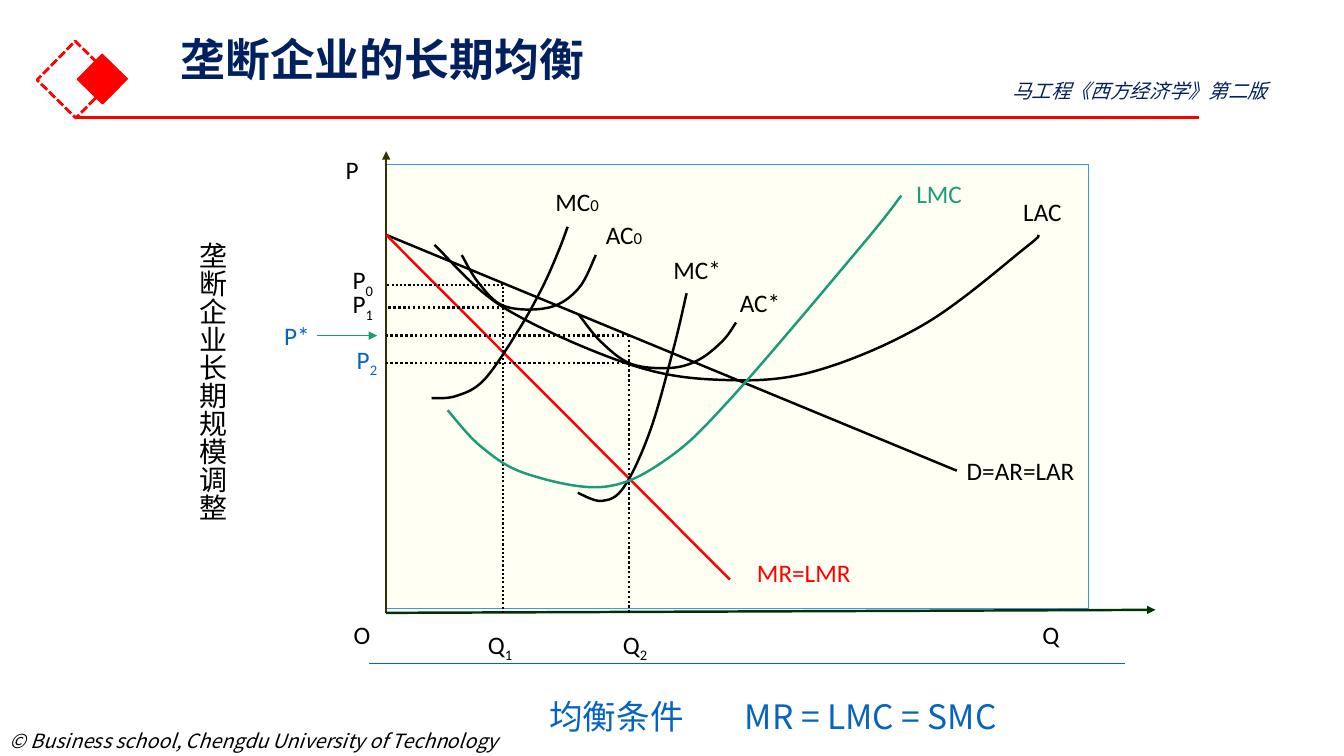
"""Build the slide on the long-run equilibrium of a monopoly firm."""
import lxml.etree
import pptx
import pptx.dml.color
import pptx.enum.dml
import pptx.enum.shapes
import pptx.enum.text
import pptx.oxml.ns
import pptx.util

Inches = pptx.util.Inches
Pt = pptx.util.Pt
RGBColor = pptx.dml.color.RGBColor
DASH = pptx.enum.dml.MSO_LINE
ANCHOR = pptx.enum.text.MSO_ANCHOR
RECTANGLE = pptx.enum.shapes.MSO_SHAPE.RECTANGLE
qn = pptx.oxml.ns.qn

BLACK = RGBColor(0x00, 0x00, 0x00)
RED = RGBColor(0xFF, 0x00, 0x00)
NAVY = RGBColor(0x00, 0x20, 0x60)
BLUE = RGBColor(0x05, 0x63, 0xC1)
GREEN = RGBColor(0x1D, 0x9A, 0x78)
IVORY = RGBColor(0xFF, 0xFF, 0xF3)
FRAME_BLUE = RGBColor(0x33, 0x99, 0xFF)
PRICE_AXIS = RGBColor(0x33, 0x33, 0x00)
QUANTITY_AXIS = RGBColor(0x00, 0x33, 0x00)
HAN_FONT = "Noto Sans CJK SC"

deck = pptx.Presentation()
deck.slide_width = Inches(13.33)
deck.slide_height = Inches(7.5)
page = deck.slides.add_slide(deck.slide_layouts[5])


def add_span(para, text, size, color, typeface="Calibri"):
    span = para.add_run()
    span.text = text
    span.font.size = Pt(size)
    span.font.color.rgb = color
    span.font.name = typeface
    east_asian = lxml.etree.SubElement(span.font._element, qn("a:ea"))
    east_asian.set("typeface", typeface)
    return span


def add_line(start, end, color, width, dash=None, arrow=False):
    line = page.shapes.add_connector(
        pptx.enum.shapes.MSO_CONNECTOR.STRAIGHT,
        *[Inches(value) for value in (*start, *end)])
    line.line.color.rgb = color
    line.line.width = Pt(width)
    if dash:
        line.line.dash_style = dash
    if arrow:
        tail = lxml.etree.SubElement(line.line._get_or_add_ln(), qn("a:tailEnd"))
        tail.set("type", "triangle")
    lxml.etree.SubElement(line._element.spPr, qn("a:effectLst"))


title = page.shapes.title
title.left, title.top = Inches(1.69), Inches(0.41)
title.width, title.height = Inches(11.5), Inches(0.95)
title.text_frame.auto_size = pptx.enum.text.MSO_AUTO_SIZE.NONE
title.text_frame.vertical_anchor = ANCHOR.MIDDLE
para = title.text_frame.paragraphs[0]
para.alignment = pptx.enum.text.PP_ALIGN.LEFT
para.line_spacing = 0.9
add_span(para, "垄断企业的长期均衡", 32, NAVY, HAN_FONT).font.bold = True
para.add_line_break()
lxml.etree.SubElement(para._p.find(qn("a:br")), qn("a:rPr"), sz="3200")
closing = lxml.etree.SubElement(para._p, qn("a:endParaRPr"), sz="3200")
lxml.etree.SubElement(closing, qn("a:latin"), typeface=HAN_FONT)

rectangles = [
    (3.83, 1.63, 6.97, 4.41, 0, IVORY, FRAME_BLUE, 0.75, False),
    (0.48, 0.52, 0.54, 0.54, 314.5, None, RED, 2, True),
    (0.84, 0.61, 0.35, 0.35, 314.5, RED, RED, 1, False),
]
for left, top, width, height, angle, fill, outline, weight, dashed in rectangles:
    shape = page.shapes.add_shape(
        RECTANGLE, Inches(left), Inches(top), Inches(width), Inches(height))
    shape.shadow.inherit = False
    shape.rotation = angle
    if fill is None:
        shape.fill.background()
    else:
        shape.fill.solid()
        shape.fill.fore_color.rgb = fill
    shape.line.color.rgb = outline
    shape.line.width = Pt(weight)
    if dashed:
        shape.line.dash_style = DASH.DASH
        shape.line._get_or_add_ln().find(qn("a:prstDash")).set("val", "sysDash")

ORIGIN_X, ORIGIN_Y = 3.83, 6.08
add_line((0.75, 1.17), (11.89, 1.17), RED, 2.25)
add_line((ORIGIN_X, ORIGIN_Y), (ORIGIN_X, 1.5), PRICE_AXIS, 1.75, arrow=True)
add_line((ORIGIN_X, ORIGIN_Y), (11.46, 6.05), QUANTITY_AXIS, 1.75, arrow=True)
add_line((ORIGIN_X, 2.33), (9.49, 4.67), BLACK, 1.75)
add_line((ORIGIN_X, 2.33), (7.24, 5.75), RED, 1.75)
add_line((3.66, 6.58), (11.16, 6.58), BLUE, 0.5)
add_line((3.14, 3.33), (3.74, 3.33), GREEN, 0.5, arrow=True)
for quantity, price, weight in [(4.99, 2.83, 1.5), (6.24, 3.33, 1.75)]:
    add_line((quantity, ORIGIN_Y), (quantity, price), BLACK, weight, DASH.ROUND_DOT)
    add_line((quantity, price), (ORIGIN_X, price), BLACK, weight, DASH.ROUND_DOT)
for quantity, price in [(4.95, 3.05), (6.24, 3.6)]:
    add_line((quantity, price), (ORIGIN_X, price), BLACK, 1.75, DASH.ROUND_DOT)

short_run_ac0 = [(4.58, 2.53), (4.75, 2.81), (5.01, 3.04), (5.45, 3.05),
                 (5.74, 2.86), (5.91, 2.53)]
short_run_mc0 = [(4.28, 3.95), (4.52, 3.93), (4.8, 3.77), (5.14, 3.28),
                 (5.38, 2.85), (5.54, 2.49), (5.63, 2.25)]
optimal_ac = [(5.74, 3.12), (5.96, 3.39), (6.26, 3.61), (6.65, 3.65),
              (6.93, 3.57), (7.17, 3.38), (7.3, 3.2)]
optimal_mc = [(5.73, 4.89), (5.97, 4.97), (6.19, 4.83), (6.45, 4.27),
              (6.68, 3.46), (6.81, 2.91)]
long_run_ac = [(4.31, 2.43), (5.01, 3.06), (6.26, 3.62), (7.19, 3.77),
               (8.09, 3.68), (9.18, 3.21), (10.18, 2.45), (10.3, 2.33)]
long_run_mc = [(4.44, 4.07), (4.77, 4.43), (5.22, 4.7), (5.99, 4.83),
               (6.62, 4.55), (7.27, 3.93), (8.56, 2.42), (8.94, 1.94)]
for knots, color in [(short_run_ac0, BLACK), (short_run_mc0, BLACK),
                     (optimal_ac, BLACK), (optimal_mc, BLACK),
                     (long_run_ac, BLACK), (long_run_mc, GREEN)]:
    padded = [knots[0], *knots, knots[-1]]
    points = []
    for before, start, end, after in zip(padded, padded[1:], padded[2:], padded[3:]):
        points.append([Inches(b + (c - a) / 6) for a, b, c in zip(before, start, end)])
        points.append([Inches(c - (d - b) / 6) for b, c, d in zip(start, end, after)])
        points.append([Inches(value) for value in end])
    builder = page.shapes.build_freeform(Inches(knots[0][0]), Inches(knots[0][1]))
    builder.add_line_segments(points, close=False)
    curve = builder.convert_to_shape()
    segments = list(curve._element.iter(qn("a:lnTo")))
    outline = segments[0].getparent()
    for first in range(0, len(segments), 3):
        bezier = lxml.etree.SubElement(outline, qn("a:cubicBezTo"))
        for segment in segments[first:first + 3]:
            bezier.append(segment[0])
            outline.remove(segment)
    curve.shadow.inherit = False
    curve.fill.background()
    curve.line.color.rgb = color
    curve.line.width = Pt(1.75)

labels = [
    (3.33, 1.5, 0.33, 0.42, "P", "", BLACK),
    (10.24, 6.08, 0.33, 0.42, "Q", "", BLACK),
    (3.41, 6.08, 0.33, 0.42, "O", "", BLACK),
    (5.91, 2.08, 0.75, 0.5, "AC", "small 0", BLACK),
    (5.41, 1.75, 0.75, 0.5, "MC", "small 0", BLACK),
    (9.49, 4.5, 1.3, 0.33, "D=AR=LAR", "", BLACK),
    (7.41, 5.5, 1.2, 0.35, "MR=LMR", "", RED),
    (4.74, 6.25, 0.5, 0.33, "Q", "1", BLACK),
    (6.08, 6.25, 0.5, 0.33, "Q", "2", BLACK),
    (3.4, 2.6, 0.5, 0.39, "P", "0", BLACK),
    (3.4, 2.87, 0.5, 0.33, "P", "1", BLACK),
    (3.44, 3.42, 0.5, 0.33, "P", "2", BLUE),
    (2.72, 3.16, 0.5, 0.33, "P*", "", BLUE),
    (7.24, 2.75, 0.67, 0.5, "AC*", "", BLACK),
    (6.58, 2.42, 0.75, 0.5, "MC*", "", BLACK),
    (10.05, 1.85, 0.75, 0.5, "LAC", "", BLACK),
    (8.99, 1.67, 0.75, 0.5, "LMC", "", GREEN),
]
for left, top, width, height, name, index, color in labels:
    box = page.shapes.add_textbox(Inches(left), Inches(top), Inches(width), Inches(height))
    box.text_frame.word_wrap = False
    box.text_frame.vertical_anchor = ANCHOR.MIDDLE
    para = box.text_frame.paragraphs[0]
    if name == "P" and not index:
        para.line_spacing = 0.8
    add_span(para, name, 18, color)
    if index.startswith("small"):
        add_span(para, index[-1], 12, color)
    elif index:
        add_span(para, index, 18, color).font._element.set("baseline", "-25000")

captions = [
    (9.94, 0.73, 3.24, 0.34, "马工程《西方经济学》第二版", 14, NAVY, True),
    (0, 7.18, 5.31, 0.34, "© Business school, Chengdu University of Technology", 14, BLACK, True),
    (1.78, 2.3, 0.54, 3.92, "垄断企业长期规模调整", 20, BLACK, False),
]
for left, top, width, height, text, size, color, italic in captions:
    box = page.shapes.add_textbox(Inches(left), Inches(top), Inches(width), Inches(height))
    box.text_frame.word_wrap = left > 0
    if height > width:
        box.text_frame._txBody.bodyPr.set("vert", "eaVert")
    span = add_span(box.text_frame.paragraphs[0], text, size, color, HAN_FONT)
    span.font.italic = italic

condition = page.shapes.add_textbox(Inches(5.35), Inches(6.85), Inches(5.25), Inches(0.5))
condition.text_frame.word_wrap = True
condition.text_frame.vertical_anchor = ANCHOR.MIDDLE
para = condition.text_frame.paragraphs[0]
tabs = lxml.etree.SubElement(para._p.get_or_add_pPr(), qn("a:tabLst"))
lxml.etree.SubElement(tabs, qn("a:tab"), pos=str(Inches(1.94)), algn="l")
add_span(para, "均衡条件\tMR = LMC = SMC", 24, BLUE, "Noto Sans CJK JP")

deck.save("out.pptx")
